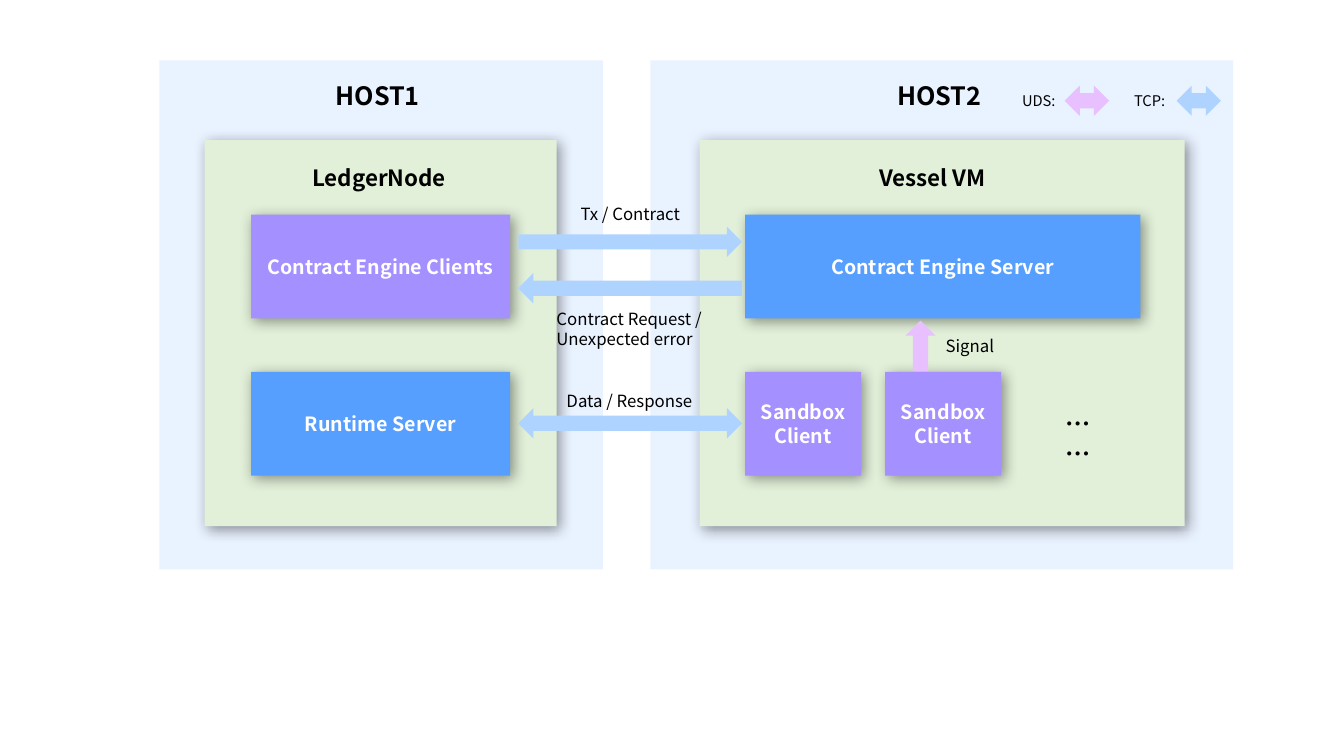
"""Build the contract engine architecture slide with two hosts."""
from lxml import etree
from pptx import Presentation
from pptx.dml.color import RGBColor
from pptx.enum.shapes import MSO_SHAPE as Shape
from pptx.enum.text import MSO_ANCHOR as Anchor, MSO_AUTO_SIZE as AutoSize, PP_ALIGN as Align
from pptx.oxml import parse_xml
from pptx.oxml.ns import nsdecls, qn
from pptx.util import Pt

PX = 9144
FONT = "Noto Sans CJK SC"
COLORS = {
    "host": "DBE9FF", "machine": "E2F0D9", "client": "A490FF", "server": "579FFF",
    "uds": "E8C0FF", "tcp": "AED3FF", "light": "FFFFFF", "dark": "000000",
}
SHADOW = (
    f'<a:effectLst {nsdecls("a")}><a:outerShdw blurRad="127000" dist="38100" dir="2700000" '
    'algn="tl" rotWithShape="0"><a:srgbClr val="000000"><a:alpha val="40000"/></a:srgbClr>'
    '</a:outerShdw></a:effectLst>'
)


def add_block(kind, box, color):
    shape = slide.shapes.add_shape(kind, *(value * PX for value in box))
    shape.shadow.inherit = False
    shape.fill.solid()
    shape.fill.fore_color.rgb = RGBColor.from_string(COLORS[color])
    shape.line.fill.background()
    return shape


def write_text(shape, text, size, bold, color, align):
    frame = shape.text_frame
    frame.text = text
    formats = {"name": FONT, "size": Pt(size), "bold": bold}
    for paragraph in frame.paragraphs:
        paragraph.alignment = align
        for run in paragraph.runs:
            for name, value in formats.items():
                setattr(run.font, name, value)
            run.font.color.rgb = RGBColor.from_string(COLORS[color])
            east_asian = etree.SubElement(run.font._element, qn("a:ea"))
            east_asian.set("typeface", FONT)


presentation = Presentation()
presentation.slide_width = 1333 * PX
presentation.slide_height = 750 * PX
slide = presentation.slides.add_slide(presentation.slide_layouts[6])

for left, width in ((645, 578), (158, 440)):
    host = add_block(Shape.RECTANGLE, (left, 60, width, 505), "host")
    host_color = host.fill._xPr.find(qn("a:solidFill"))[0]
    etree.SubElement(host_color, qn("a:alpha")).set("val", "59000")

UPPER, LOWER = 213, 369
panels = [
    ("", (203, 139, 349, 383), "machine"),
    ("", (694, 139, 481, 383), "machine"),
    ("Contract Engine Clients", (249, UPPER, 257, 103), "client"),
    ("Runtime Server", (249, LOWER, 257, 103), "server"),
    ("Contract Engine Server", (739, UPPER, 392, 103), "server"),
    ("Sandbox\nClient", (739, LOWER, 115, 103), "client"),
    ("Sandbox\nClient", (878, LOWER, 115, 103), "client"),
]
for text, box, color in panels:
    panel = add_block(Shape.RECTANGLE, box, color)
    properties = panel._element.spPr
    properties.replace(properties.find(qn("a:effectLst")), parse_xml(SHADOW))
    if text:
        panel.text_frame.vertical_anchor = Anchor.MIDDLE
        write_text(panel, text, 14, True, "light", Align.CENTER)

arrows = [
    (Shape.RIGHT_ARROW, (888, 328, 50, 30), "uds", 270),
    (Shape.RIGHT_ARROW, (514, 225, 222, 30), "tcp", 0),
    (Shape.RIGHT_ARROW, (514, 271, 222, 30), "tcp", 180),
    (Shape.LEFT_RIGHT_ARROW, (514, 405, 222, 30), "tcp", 0),
    (Shape.LEFT_RIGHT_ARROW, (1056, 85, 44, 30), "uds", 0),
    (Shape.LEFT_RIGHT_ARROW, (1167, 85, 44, 30), "tcp", 0),
]
for kind, box, color, rotation in arrows:
    arrow = add_block(kind, box, color)
    arrow.rotation = rotation

labels = [
    ("HOST1", (323, 75, 108, 40), 18, True),
    ("HOST2", (880, 75, 108, 40), 18, True),
    ("LedgerNode", (300, 158, 156, 37), 16, True),
    ("Vessel VM", (862, 158, 146, 37), 16, True),
    ("……", (1035, 400, 69, 40), 18, True),
    ("Tx / Contract", (566, 197, 123, 30), 12, False),
    ("Contract Request /\nUnexpected error", (542, 301, 171, 50), 12, False),
    ("Signal", (928, 328, 69, 30), 12, False),
    ("Data / Response", (552, 383, 152, 30), 12, False),
    ("UDS:", (1004, 86, 54, 28), 10.5, False),
    ("TCP:", (1115, 86, 51, 28), 10.5, False),
]
for text, box, size, bold in labels:
    label = slide.shapes.add_textbox(*(value * PX for value in box))
    is_ellipsis = text == "……"
    label.text_frame.word_wrap = is_ellipsis
    label.text_frame.auto_size = AutoSize.SHAPE_TO_FIT_TEXT
    write_text(label, text, size, bold, "dark", Align.CENTER if is_ellipsis else Align.LEFT)

presentation.save("out.pptx")
